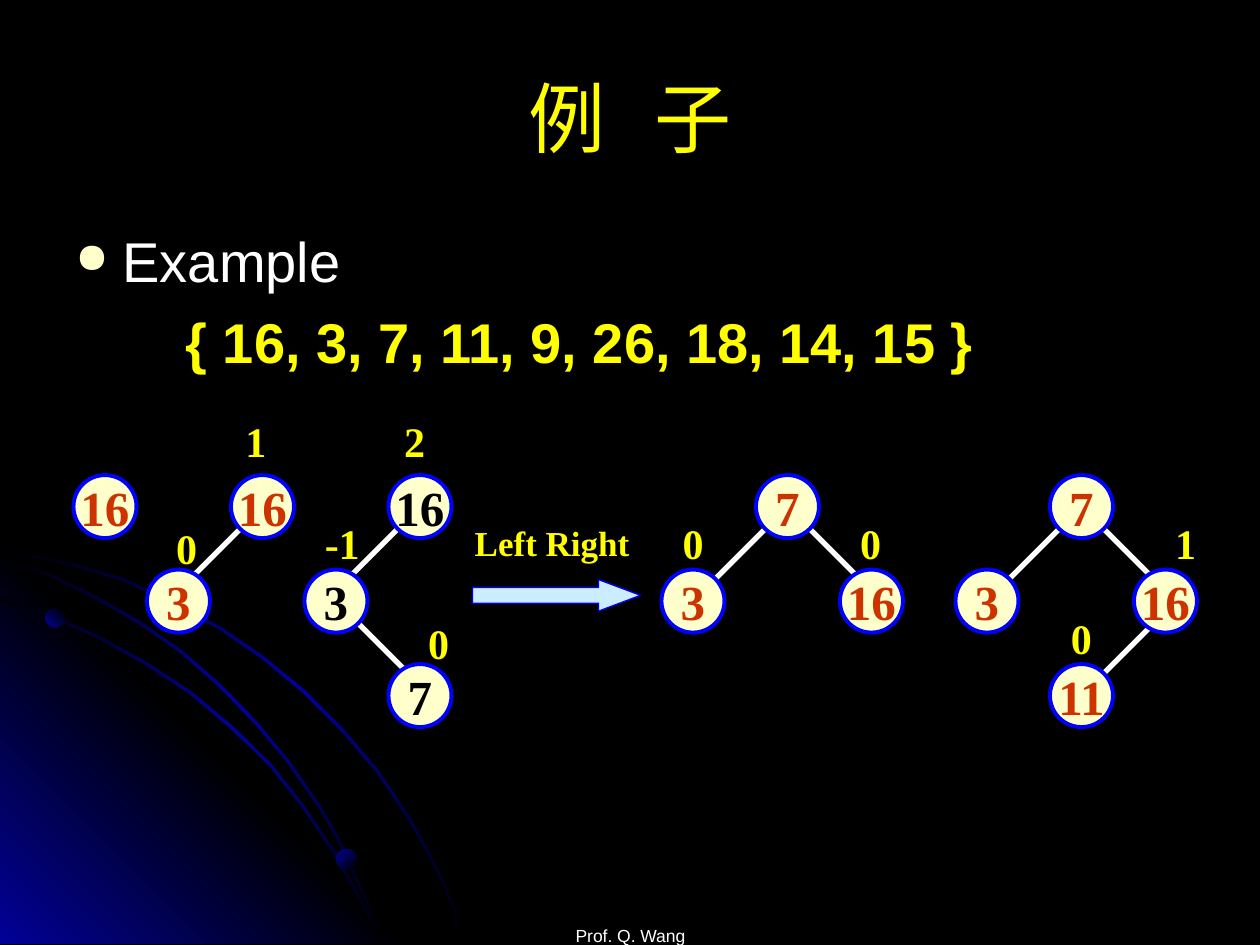
from lxml import etree
from pptx import Presentation
from pptx.dml import color
from pptx.enum import shapes, text
from pptx.oxml import ns
from pptx.util import Pt

BLUE, BLACK, YELLOW, CREAM, WHITE = "010199", "000000", "FFFF00", "FFFFCC", "FFFFFF"
KEY, PLAIN = "CC3300", "010000"
SANS, SERIF = "Arial", "Times New Roman"
BOTTOM = 539.3
RADIUS = 18
LEVELS = (289.5, 343.5, 397.5)

# Upper edges of the curved streaks in the corner
ARCS = [
    [(0, 313.2), (20.2, 317.5), (41, 321.8), (70.6, 330.5), (97.9, 343.4), (125.3, 357.8),
     (150.5, 375.1), (174.2, 394.6), (195.8, 416.2), (216, 439.9), (234, 466.6),
     (244.1, 484.6), (253.4, 502.6), (260.6, 520.6), (267.8, BOTTOM)],
    [(0, 342), (29.5, 351.4), (56.9, 363.6), (84.2, 378.7), (109.4, 395.3), (132.5, 414.7),
     (154.8, 436.3), (174.2, 460.8), (191.5, 486.7), (205.9, 512.6), (213.1, 525.6),
     (218.2, BOTTOM)],
    [(0, 318.2), (28.1, 327.6), (54.7, 340.6), (79.9, 355), (103.7, 371.5), (126, 391),
     (146.9, 412.6), (164.9, 434.2), (182.9, 460.1), (193.7, 478.8), (203, 499),
     (211.7, 518.4), (218.2, BOTTOM)],
]

# Nodes: value, centre x, level, colour. Edges: parent x, level, direction, start offset.
TREES = [
    ([("16", 60, 0, KEY)], []),
    ([("16", 150, 0, KEY), ("3", 102, 1, KEY)], [(150, 0, -1, 12)]),
    ([("16", 240, 0, PLAIN), ("3", 192, 1, PLAIN), ("7", 240, 2, PLAIN)],
     [(240, 0, -1, 12), (192, 1, 1, 12)]),
    ([("7", 450, 0, KEY), ("3", 396, 1, KEY), ("16", 498, 1, KEY)],
     [(450, 0, -1, 12), (450, 0, 1, 12)]),
    ([("7", 618, 0, KEY), ("3", 564, 1, KEY), ("16", 666, 1, KEY), ("11", 618, 2, KEY)],
     [(618, 0, -1, 12), (618, 0, 1, 12), (666, 1, -1, 6)]),
]
BALANCES = [("1", 133.2, 234), ("2", 223.9, 234), ("0", 93.6, 295.2), ("0", 237.6, 349.2),
            ("0", 383, 292.3), ("0", 484.5, 292.3), ("0", 604.8, 346.3), ("1", 664.5, 292.3)]


def rgb(value):
    return color.RGBColor.from_string(value)


def add_xml(parent, tag, **attributes):
    return etree.SubElement(parent, ns.qn(tag), attributes)


class Deck:
    def __init__(self):
        self.prs = Presentation()
        self.prs.slide_width, self.prs.slide_height = Pt(720), Pt(540)
        self.slide = self.prs.slides.add_slide(self.prs.slide_layouts[6])
        self.slide.background.fill.solid()
        self.slide.background.fill.fore_color.rgb = rgb(BLACK)

    def shade(self, shape, stops, angle):
        """Spread the colours evenly along a clockwise angle, without an outline."""
        shape.shadow.inherit = False
        shape.line.fill.background()
        shape.fill.gradient()
        gradient = shape._element.spPr.find(ns.qn("a:gradFill"))
        for child in list(gradient):
            gradient.remove(child)
        stop_list = add_xml(gradient, "a:gsLst")
        for i, stop in enumerate(stops):
            position = str(100000 * i // (len(stops) - 1))
            add_xml(add_xml(stop_list, "a:gs", pos=position), "a:srgbClr", val=stop)
        add_xml(gradient, "a:lin", ang=str(angle * 60000), scaled="0")

    def outline(self, points, stops, angle):
        (x, y), *rest = [(Pt(px), Pt(py)) for px, py in points]
        builder = self.slide.shapes.build_freeform(x, y)
        builder.add_line_segments(rest, close=True)
        self.shade(builder.convert_to_shape(), stops, angle)

    def streak(self, upper):
        lower = [(max(x - 1, 0), min(y + 1.2, BOTTOM)) for x, y in reversed(upper)]
        self.outline(upper + lower, (BLACK, BLUE, BLACK), 45)

    def preset(self, kind, x, y, w, h):
        shape = self.slide.shapes.add_shape(kind, Pt(x), Pt(y), Pt(w), Pt(h))
        shape.shadow.inherit = False
        return shape

    def paint(self, shape, fill, line, width):
        shape.fill.solid()
        shape.fill.fore_color.rgb = rgb(fill)
        shape.line.color.rgb = rgb(line)
        shape.line.width = Pt(width)

    def dot(self, x, y, size, angle):
        self.shade(self.preset(shapes.MSO_SHAPE.OVAL, x, y, size, size), (BLUE, BLACK), angle)

    def add_words(self, paragraph, words, size, font, ink, bold=False):
        run = paragraph.add_run()
        run.text = words
        run.font.size, run.font.name, run.font.bold = Pt(size), font, bold
        run.font.color.rgb = rgb(ink)

    def tabs(self, paragraph):
        """Put a left tab stop at every inch."""
        tab_list = add_xml(paragraph._p.get_or_add_pPr(), "a:tabLst")
        for i in range(8):
            add_xml(tab_list, "a:tab", pos=str(Pt(72 * i)), algn="l")

    def box(self, x, y, w, h, anchor=text.MSO_ANCHOR.TOP):
        frame = self.slide.shapes.add_textbox(Pt(x), Pt(y), Pt(w), Pt(h)).text_frame
        frame.word_wrap = True
        frame.vertical_anchor = anchor
        return frame

    def title(self, words):
        paragraph = self.box(36, 21.6, 648, 90, text.MSO_ANCHOR.MIDDLE).paragraphs[0]
        paragraph.alignment = text.PP_ALIGN.CENTER
        self.tabs(paragraph)
        self.add_words(paragraph, words, 44, SANS, YELLOW)

    def body(self, heading, sequence):
        frame = self.box(36, 126, 648, 356.4)
        first, second = frame.paragraphs[0], frame.add_paragraph()
        for paragraph in (first, second):
            props = paragraph._p.get_or_add_pPr()
            props.set("marL", str(Pt(27)))
            props.set("indent", str(-Pt(27)))
        props = first._p.get_or_add_pPr()
        add_xml(add_xml(props, "a:buClr"), "a:srgbClr", val=CREAM)
        add_xml(props, "a:buSzPct", val="75000")
        add_xml(props, "a:buChar", char="●")
        add_xml(second._p.get_or_add_pPr(), "a:buNone")
        self.tabs(second)
        second.space_before = Pt(8)
        self.add_words(first, heading, 32, SANS, WHITE)
        self.add_words(second, sequence, 32, SANS, YELLOW, True)

    def footer(self, words):
        frame = self.box(246.2, 504.7, 228.2, 36, text.MSO_ANCHOR.BOTTOM)
        frame.margin_bottom = 0
        frame.paragraphs[0].alignment = text.PP_ALIGN.CENTER
        self.add_words(frame.paragraphs[0], words, 10, SANS, WHITE)

    def label(self, words, x, y, w=25.9, h=36, size=24):
        frame = self.box(x, y, w, h)
        frame.word_wrap = False
        frame.auto_size = text.MSO_AUTO_SIZE.SHAPE_TO_FIT_TEXT
        self.add_words(frame.paragraphs[0], words, size, SERIF, YELLOW, True)

    def node(self, value, x, level, ink):
        circle = self.preset(shapes.MSO_SHAPE.OVAL, x - RADIUS, LEVELS[level] - RADIUS,
                             2 * RADIUS, 2 * RADIUS)
        self.paint(circle, CREAM, "0000FF", 2.25)
        frame = circle.text_frame
        frame.word_wrap = False
        frame.vertical_anchor = text.MSO_ANCHOR.MIDDLE
        frame.paragraphs[0].alignment = text.PP_ALIGN.CENTER
        self.add_words(frame.paragraphs[0], value, 28, SERIF, ink, True)

    def edge(self, x, level, direction, offset):
        """Run diagonally down from a parent; direction is -1 for left, 1 for right."""
        x, y = x + direction * offset, LEVELS[level] + 12
        line = self.slide.shapes.add_connector(
            shapes.MSO_CONNECTOR.STRAIGHT, Pt(x), Pt(y), Pt(x + 30 * direction), Pt(y + 30))
        line.line.color.rgb = rgb(WHITE)
        line.line.width = Pt(3)
        add_xml(line._element.spPr, "a:effectLst")

    def arrow(self, x, y, w, h):
        arrow = self.preset(shapes.MSO_SHAPE.RIGHT_ARROW, x, y, w, h)
        arrow.adjustments[1] = 1.33
        self.paint(arrow, "CCECFF", "0000FF", 0.75)


def main():
    deck = Deck()
    deck.streak(ARCS[0])
    deck.outline([(0, 307.4), (231.8, BOTTOM), (0, BOTTOM)], (BLUE, BLACK, BLUE), 315)
    for arc in ARCS[1:]:
        deck.streak(arc)
    deck.dot(25.9, 347.8, 10.8, 315)
    deck.dot(192.2, 485.3, 11.5, 45)
    deck.footer("Prof. Q. Wang")
    deck.title("例\t子")
    deck.body("Example", "\t\t{ 16, 3, 7, 11, 9, 26, 18, 14, 15 }")
    for nodes, edges in TREES:
        for edge in edges:
            deck.edge(*edge)
        for node in nodes:
            deck.node(*node)
    for balance in BALANCES:
        deck.label(*balance)
    deck.label("-1", 178.5, 292.3, w=34.6)
    deck.label("Left Right", 264.2, 294.5, w=103, h=31.7, size=20)
    deck.arrow(270, 331.2, 96, 18)
    deck.prs.save("out.pptx")


if __name__ == "__main__":
    main()
